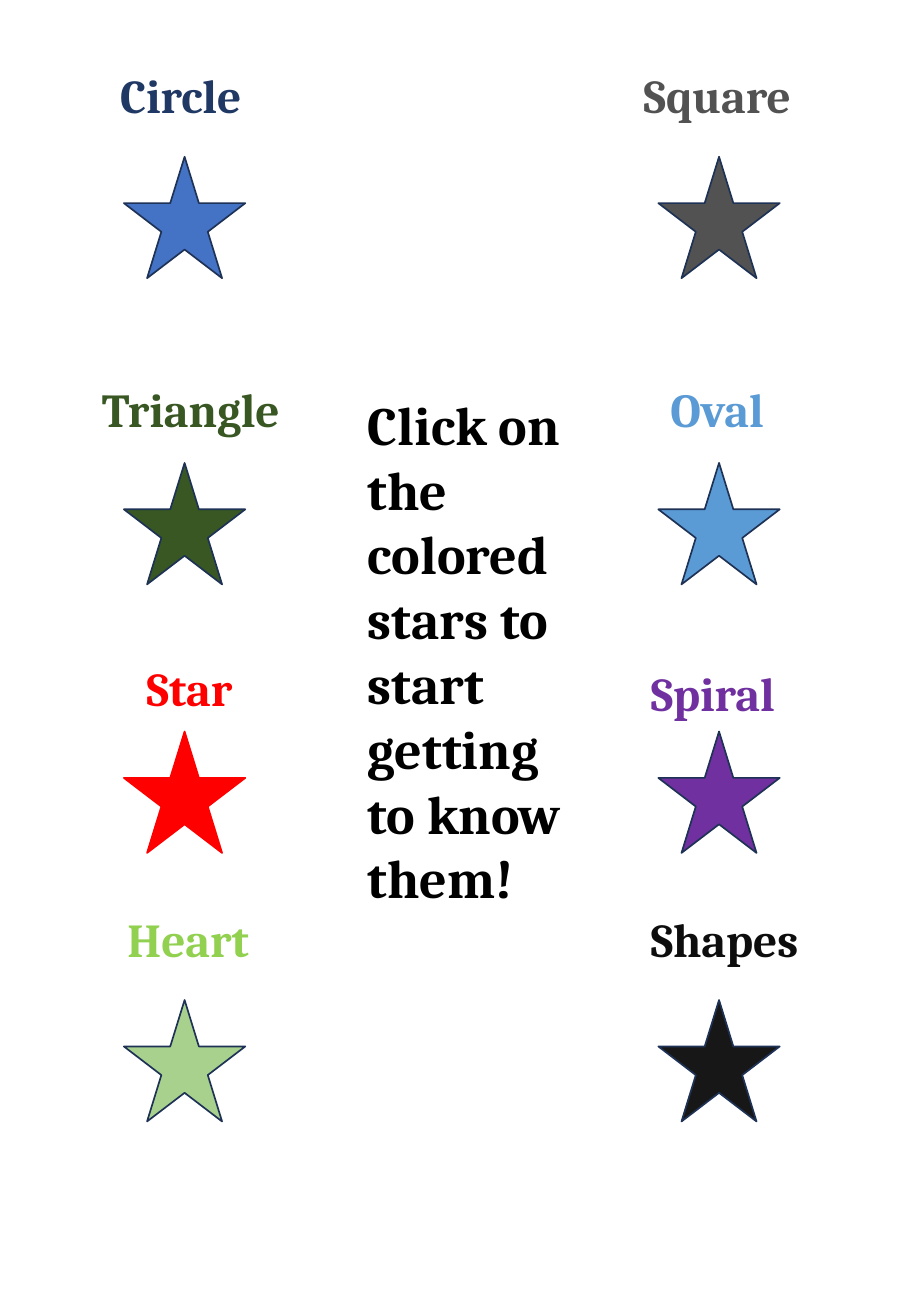
from pptx import Presentation
from pptx.dml.color import RGBColor
from pptx.enum import shapes, text
from pptx.util import Pt

# Content: label, label left, top and width, label colour, star fill, star outline
NAVY = "1E3256"
COLUMNS = [
    (73.44, [
        ("Circle", 64.08, 36, 191.52, "203864", "4472C4", NAVY),
        ("Triangle", 53.28, 221.76, 123.84, "385723", "385723", NAVY),
        ("Star", 79.92, 387.36, 79.2, "FF0000", "FF0000", "FF0000"),
        ("Heart", 68.4, 535.68, 100.08, "92D050", "A9D18E", NAVY),
    ]),
    (390.24, [
        ("Square", 374.4, 36, 102.96, "525252", "525252", NAVY),
        ("Oval", 390.24, 221.76, 149.76, "5B9BD5", "5B9BD5", NAVY),
        ("Spiral", 378.72, 390.24, 161.28, "7030A0", "7030A0", NAVY),
        ("Shapes", 378.72, 535.68, 161.28, "0D0D0D", "181717", NAVY),
    ]),
]
STAR_TOPS = (92.88, 274.32, 433.44, 592.56)
STAR_SIZE = 72
LABEL_HEIGHT = 41.04
INVITATION = "Click on the colored stars to start getting \vto know them!"
INVITATION_AREA = (210.96, 228.24, 144.72, 317.52)
THEME = {"font": "Cambria", "label": 28, "invitation": 32, "ink": "000000", "outline": 1}

# Page
deck = Presentation()
deck.slide_width, deck.slide_height = Pt(540), Pt(779.76)
page = deck.slides.add_slide(deck.slide_layouts[6])


def add_text(words, area, size, color):
    box = page.shapes.add_textbox(*map(Pt, area))
    frame = box.text_frame
    frame.word_wrap = True
    frame.auto_size = text.MSO_AUTO_SIZE.SHAPE_TO_FIT_TEXT
    para = frame.paragraphs[0]
    para.text = words
    for span in para.runs:
        for name, value in {"name": THEME["font"], "size": Pt(size), "bold": True}.items():
            setattr(span.font, name, value)
        span.font.color.rgb = RGBColor.from_string(color)


def add_star(left, top, fill, outline):
    star = page.shapes.add_shape(
        shapes.MSO_SHAPE.STAR_5_POINT, *map(Pt, (left, top, STAR_SIZE, STAR_SIZE)))
    star.shadow.inherit = False
    star.fill.solid()
    star.fill.fore_color.rgb = RGBColor.from_string(fill)
    star.line.color.rgb = RGBColor.from_string(outline)
    star.line.width = Pt(THEME["outline"])


# Two columns of labelled stars
for star_left, entries in COLUMNS:
    for star_top, (label, left, top, width, color, fill, outline) in zip(STAR_TOPS, entries):
        add_star(star_left, star_top, fill, outline)
        add_text(label, (left, top, width, LABEL_HEIGHT), THEME["label"], color)

# Invitation between the columns
add_text(INVITATION, INVITATION_AREA, THEME["invitation"], THEME["ink"])

deck.save("out.pptx")
